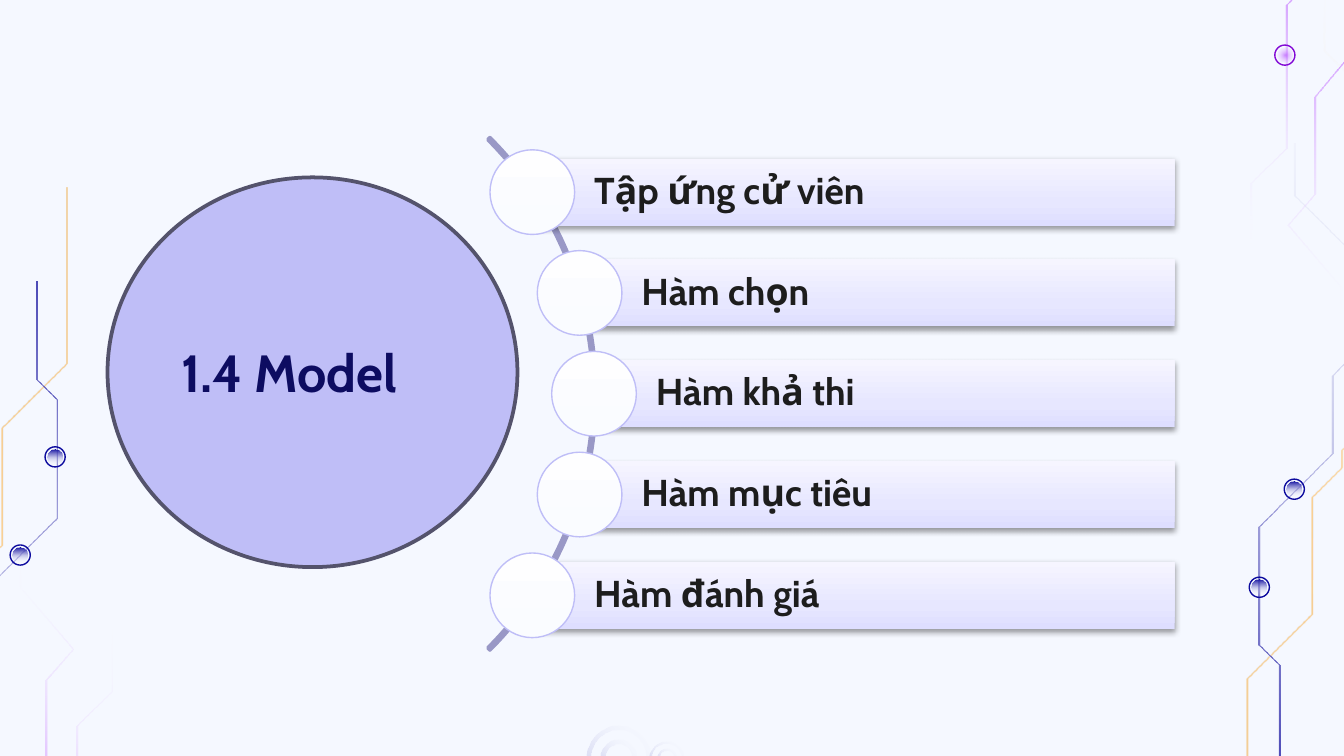
from math import cos, radians, sin, sqrt

from pptx import Presentation
from pptx.dml.color import RGBColor
from pptx.enum.shapes import MSO_SHAPE as Shape
from pptx.enum.text import MSO_ANCHOR as Anchor, MSO_AUTO_SIZE as AutoSize, PP_ALIGN as Align
from pptx.oxml import parse_xml
from pptx.oxml.ns import nsdecls, qn
from pptx.util import Inches, Pt

COLORS = {
    "background": "F5F8FF", "navy": "0C0A9E", "violet": "8208D5",
    "arc": "9998C6", "lilac": "BFBEF7", "slate": "54536C",
    "title": "0D0C61", "text": "1D1D1D",
}

# Each gradient: stops of (position %, colour, opacity %), then the angle (None is radial)
GRADIENTS = {
    "orange": ([(0, "EB9109", 41), (40, "FF9900", 41), (100, "FFFFFF", 0)], 45),
    "navy": ([(0, "0C0A9E", 100), (100, "FFFFFF", 0)], 90),
    "purple": ([(0, "9900FF", 47), (100, "FFFFFF", 0)], 90),
    "glow": ([(0, "9900FF", 47), (100, "FFFFFF", 0)], None),
    "ring": ([(0, "0C0A9E", 20), (100, "FFFFFF", 0)], 225),
    "bar": ([(0, "DEDEFF", 100), (35, "E7E7FF", 100), (100, "F6F5FF", 100)], 270),
    "bead": ([(0, "FAFCFF", 100), (35, "FBFCFF", 100), (100, "FEFEFF", 100)], 270),
}

# Circuit traces: (gradient, rotation, centre of rotation, centre line)
LEFT_TRACES = [
    ("orange", 45, (0.21, 4.78),
     [(0.5, 1.4), (0.5, 2.71), (0.02, 3.19), (0.02, 4.06), (-0.2, 4.28), (-0.2, 4.41),
      (-0.32, 4.53), (-0.32, 5.07), (-0.56, 5.32), (-0.56, 5.66), (-0.74, 5.84),
      (-0.74, 6.72), (-0.07, 7.38), (-0.07, 8.15)]),
    ("navy", 45, (0.21, 4.4),
     [(0.27, 2.1), (0.27, 2.83), (0.42, 2.98), (0.42, 3.86), (-0.12, 4.4), (-0.12, 4.98),
      (-0.36, 5.23), (-0.36, 5.8), (0.16, 6.32), (0.16, 6.71)]),
]
RIGHT_TRACES = [
    ("purple", 0, (9.62, 0.76),
     [(9.93, -0.32), (9.57, 0.04), (9.57, 1.1), (9.31, 1.36), (9.31, 1.84)]),
    ("purple", 0, (9.96, 1.22),
     [(10.32, 0.08), (9.79, 0.72), (9.79, 1.44), (9.59, 1.67), (9.98, 2.13), (9.98, 2.36)]),
]
LEFT_DOTS = [(0.41, 3.4), (0.15, 4.13)]
NAVY_TURN = (9.78, 7.77)
PURPLE_TURN = (10.14, 6.5)

# Rings at the foot: (centre x, diameter, thickness / diameter)
RINGS = [(4.6, 0.48, 0.07), (4.6, 0.27, 0.13), (4.96, 0.25, 0.07), (4.96, 0.14, 0.13)]

MODEL_PARTS = ["Tập ứng cử viên", "Hàm chọn", "Hàm khả thi", "Hàm mục tiêu", "Hàm đánh giá"]


def half_turn(point, total):
    """Turn a point by 180 degrees; total is the sum of the point and its image."""
    return total[0] - point[0], total[1] - point[1]


def rotate(point, center, degrees):
    angle = radians(degrees)
    x, y = point[0] - center[0], point[1] - center[1]
    return (center[0] + x * cos(angle) - y * sin(angle),
            center[1] + x * sin(angle) + y * cos(angle))


def write_text(frame, text, size=20, color="text", font="Cabin", bold=True,
               anchor=Anchor.MIDDLE, margins=(0.1, 0.05, 0.1, 0.05), line_spacing=None):
    frame.word_wrap = True
    frame.vertical_anchor = anchor
    (frame.margin_left, frame.margin_top,
     frame.margin_right, frame.margin_bottom) = map(Inches, margins)
    paragraph = frame.paragraphs[0]
    paragraph.alignment = Align.LEFT
    paragraph.line_spacing = line_spacing
    run = paragraph.add_run()
    run.text = text
    run.font.name, run.font.size, run.font.bold = font, Pt(size), bold
    run.font.color.rgb = RGBColor.from_string(COLORS[color])


class SlideBuilder:
    def __init__(self, slide):
        self.slide = slide
        slide.background.fill.solid()
        slide.background.fill.fore_color.rgb = RGBColor.from_string(COLORS["background"])

    def style(self, shape, fill=None, gradient=None, line=None, weight=0.75):
        shape.shadow.inherit = False
        if gradient:
            self.apply_gradient(shape, *GRADIENTS[gradient])
        elif fill:
            shape.fill.solid()
            shape.fill.fore_color.rgb = RGBColor.from_string(COLORS[fill])
        else:
            shape.fill.background()
        if line:
            shape.line.color.rgb = RGBColor.from_string(COLORS[line])
            shape.line.width = Pt(weight)
        else:
            shape.line.fill.background()
        return shape

    def apply_gradient(self, shape, stops, angle):
        stop_xml = "".join(
            f'<a:gs pos="{position * 1000}"><a:srgbClr val="{color}">'
            f'<a:alpha val="{opacity * 1000}"/></a:srgbClr></a:gs>'
            for position, color, opacity in stops)
        direction = (
            '<a:path path="circle"><a:fillToRect l="50000" t="50000" r="50000" b="50000"/></a:path>'
            if angle is None else f'<a:lin ang="{angle * 60000}" scaled="0"/>')
        shape.fill.gradient()
        properties = shape.element.spPr
        properties.replace(properties.find(qn("a:gradFill")), parse_xml(
            f'<a:gradFill {nsdecls("a")} rotWithShape="1"><a:gsLst>{stop_xml}</a:gsLst>'
            f'{direction}</a:gradFill>'))

    def preset(self, kind, left, top, width, height, **style):
        shape = self.slide.shapes.add_shape(kind, *map(Inches, (left, top, width, height)))
        return self.style(shape, **style)

    def centered(self, kind, center, size, **style):
        x, y = center
        return self.preset(kind, x - size / 2, y - size / 2, size, size, **style)

    def trace(self, gradient, rotation, center, line, turn=None):
        """Draw a thin ribbon along a centre line, optionally half-turned."""
        if turn:
            line = [half_turn(point, turn) for point in line]
            center = half_turn(center, turn)
            rotation = (rotation + 180) % 360
        half_width = 0.007
        outline = ([(x + half_width, y) for x, y in line]
                   + [(x - half_width, y) for x, y in reversed(line)])
        points = [tuple(map(Inches, rotate(point, center, -rotation))) for point in outline]
        builder = self.slide.shapes.build_freeform(*points[0])
        builder.add_line_segments(points[1:], close=True)
        shape = self.style(builder.convert_to_shape(), gradient=gradient)
        shape.rotation = rotation

    def dot(self, center, line="navy", gradient="navy"):
        self.centered(Shape.OVAL, center, 0.15, line=line)
        self.centered(Shape.OVAL, center, 0.11, gradient=gradient)

    def ring(self, x, size, thickness):
        ring = self.centered(Shape.DONUT, (x, 5.64), size, gradient="ring")
        ring.adjustments[0] = thickness
        ring.rotation = 90

    def bar(self, text, left, middle, right=8.74, height=0.5):
        box = left, middle - height / 2, right - left, height
        bar = self.preset(Shape.RECTANGLE, *box, gradient="bar")
        bar.element.spPr.find(qn("a:effectLst")).append(parse_xml(
            f'<a:outerShdw {nsdecls("a")} blurRad="{Pt(3.1)}" dist="{Pt(1.6)}" dir="5400000" '
            'rotWithShape="0"><a:srgbClr val="000000"><a:alpha val="38000"/></a:srgbClr>'
            '</a:outerShdw>'))
        label = self.slide.shapes.add_textbox(*map(Inches, box))
        write_text(label.text_frame, text, margins=(0.46, 0.06, 0.06, 0.06), line_spacing=0.9)

    def title(self, text, left, top, width, height):
        title = self.slide.shapes.title
        title.left, title.top, title.width, title.height = map(Inches, (left, top, width, height))
        write_text(title.text_frame, text, size=28, color="title", anchor=Anchor.TOP)
        title.text_frame.auto_size = AutoSize.SHAPE_TO_FIT_TEXT
        title.element.getparent().append(title.element)  # bring to front


def draw_circuits(builder):
    for trace in LEFT_TRACES:
        builder.trace(*trace)
        builder.trace(*trace, turn=NAVY_TURN)
    for trace in RIGHT_TRACES:
        builder.trace(*trace)
        builder.trace(*trace, turn=PURPLE_TURN)
    for center in LEFT_DOTS:
        builder.dot(center)
        builder.dot(half_turn(center, NAVY_TURN))
    builder.dot((9.56, 0.41), line="violet", gradient="glow")
    for ring in RINGS:
        builder.ring(*ring)


def draw_model_parts(builder):
    """Place the bars and their beads along the arc."""
    center_x, center_y, radius, pitch = 1.74, 2.93, 2.68, 0.75
    arc = builder.centered(Shape.BLOCK_ARC, (center_x, center_y), 5.39, line="arc", weight=2)
    for index, value in enumerate((189, 27, 0.004)):
        arc.adjustments[index] = value
    for index, text in enumerate(MODEL_PARTS):
        offset = (index - (len(MODEL_PARTS) - 1) / 2) * pitch
        left = center_x + sqrt(radius ** 2 - offset ** 2)
        builder.bar(text, left, center_y + offset)
        builder.centered(Shape.OVAL, (left, center_y + offset), 0.63, gradient="bead", line="lilac")


def main():
    presentation = Presentation()
    presentation.slide_width = Inches(10)
    presentation.slide_height = Inches(10 * 9 / 16)
    title_only = presentation.slide_layouts[5]
    builder = SlideBuilder(presentation.slides.add_slide(title_only))
    draw_circuits(builder)
    draw_model_parts(builder)
    builder.preset(Shape.OVAL, 0.8, 1.32, 3.05, 2.9, fill="lilac", line="slate", weight=2)
    builder.title("1.4 Model", 1.25, 2.48, 2.16, 0.57)
    presentation.save("out.pptx")


if __name__ == "__main__":
    main()
